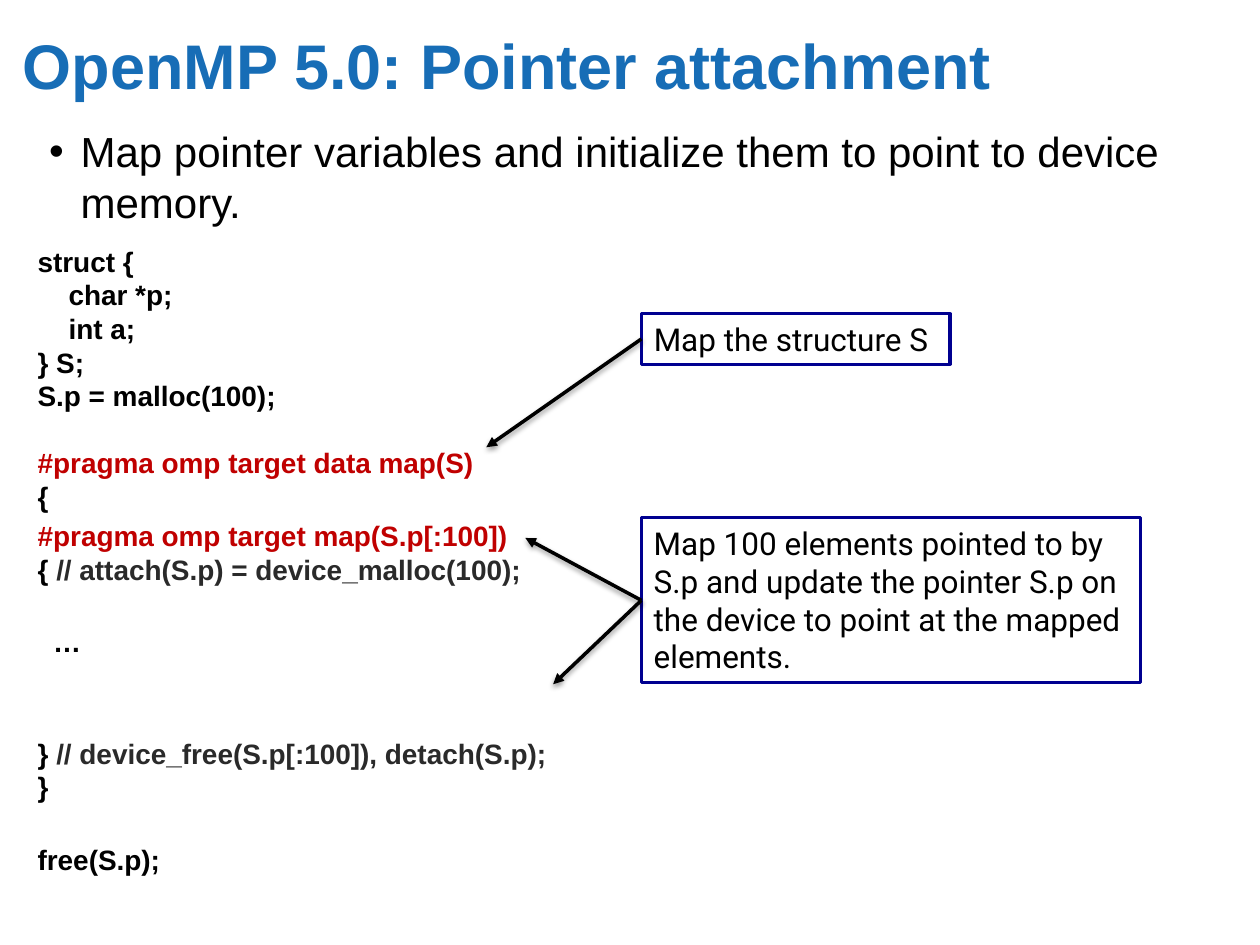
from pptx import Presentation
from pptx import util as u
from pptx.dml.color import RGBColor
from pptx.enum import shapes, text
from pptx.oxml import parse_xml
from pptx.oxml.ns import nsdecls, qn

BLACK = RGBColor(0x00, 0x00, 0x00)
BLUE = RGBColor(0x17, 0x6D, 0xB6)
NAVY = RGBColor(0x00, 0x00, 0x90)
RED = RGBColor(0xC0, 0x00, 0x00)
GREY = RGBColor(0x2A, 0x2A, 0x2A)

# Content
TITLE = "OpenMP 5.0: Pointer attachment"
BULLET = "Map pointer variables and initialize them to point to device memory."

# Code blocks: (blank lines above, extra paragraph gaps, coloured runs)
CODE = [
    (0, 0, [("struct {\n    char *p;\n    int a;\n} S;\nS.p = malloc(100);\n\n", BLACK),
            ("#pragma omp target data map(S)\n", RED), ("{", BLACK)]),
    (0, 1, [("#pragma omp target map(S.p[:100])\n", RED), ("{ ", BLACK),
            ("// attach(S.p) = device_malloc(100);", GREY)]),
    (1, 1, [("  …", BLACK)]),
    (1, 2, [("} ", BLACK), ("// device_free(S.p[:100]), detach(S.p);\n", GREY), ("}", BLACK)]),
    (1, 1, [("free(S.p);", BLACK)]),
]
CODE_LINE, CODE_GAP = 19.1, 3.2

# Callouts: text, (left, top, width, height), arrow targets
CALLOUTS = [
    ("Map the structure S", (366.5, 179.3, 176.4, 28.8), [(277.9, 255.6)]),
    ("Map 100 elements pointed to by S.p and update the pointer S.p on "
     "the device to point at the mapped elements.",
     (366.5, 295.9, 285.1, 94.3), [(300.2, 307.4), (316.1, 391)]),
]

TITLE_FONT = dict(name="Arial", size=u.Pt(36), bold=True)
BODY_FONT = dict(name="Arial", size=u.Pt(24))
CODE_FONT = dict(name="Arial", size=u.Pt(16), bold=True)
NOTE_FONT = dict(name="Roboto", size=u.Pt(18))


def add_text(p, content, font, color):
    """Add content as runs, with a line break at each newline."""
    for i, line in enumerate(content.split("\n")):
        if i:
            p.add_line_break()
        if line:
            r = p.add_run()
            r.text = line
            for key, value in font.items():
                setattr(r.font, key, value)
            r.font.color.rgb = color


def add_box(s, at, inset=True):
    tf = s.shapes.add_textbox(*map(u.Pt, at)).text_frame
    tf.word_wrap = True
    if not inset:
        for side in ("left", "top", "right", "bottom"):
            setattr(tf, f"margin_{side}", 0)
    return tf


def add_arrow(s, box, target):
    """Arrow from the left side of a callout to a code line."""
    c = s.shapes.add_connector(shapes.MSO_CONNECTOR.STRAIGHT, 0, 0, *map(u.Pt, target))
    c.begin_connect(box, 1)
    c.line.color.rgb = BLACK
    c.line.width = u.Pt(2)
    c.line._get_or_add_ln().append(parse_xml(f'<a:tailEnd {nsdecls("a")} type="triangle"/>'))
    c._element.spPr.append(parse_xml(
        f'<a:effectLst {nsdecls("a")}><a:outerShdw blurRad="{u.Pt(3)}" dist="{u.Pt(1.6)}" '
        'dir="5400000" rotWithShape="0"><a:srgbClr val="000000"><a:alpha val="38000"/>'
        '</a:srgbClr></a:outerShdw></a:effectLst>'))


prs = Presentation()
prs.slide_width, prs.slide_height = u.Pt(720), u.Pt(540)
s = prs.slides.add_slide(prs.slide_layouts[6])

# Title
tf = add_box(s, (13, 15.1, 648.7, 69.8), inset=False)
add_text(tf.paragraphs[0], TITLE, TITLE_FONT, BLUE)

# Bullet
p = add_box(s, (28.1, 72, 665.3, 69.8), inset=False).paragraphs[0]
pPr = p._p.get_or_add_pPr()
pPr.set("marL", str(u.Pt(18)))
pPr.set("indent", str(u.Pt(-18)))
pPr.append(parse_xml(f'<a:buFont {nsdecls("a")} typeface="Arial"/>'))
pPr.append(parse_xml(f'<a:buChar {nsdecls("a")} char="•"/>'))
add_text(p, BULLET, BODY_FONT, BLACK)

# Code listing
tf = add_box(s, (14.4, 136.1, 637.2, 367.2))
for i, (blanks, gaps, runs) in enumerate(CODE):
    p = tf.add_paragraph() if i else tf.paragraphs[0]
    p.space_before = u.Pt((blanks + max(gaps - 1, 0)) * CODE_LINE + gaps * CODE_GAP)
    for content, color in runs:
        add_text(p, content, CODE_FONT, color)
    # Line breaks take the size of the code
    for br in p._p.findall(qn("a:br")):
        br.append(parse_xml(f'<a:rPr {nsdecls("a")} sz="1600" b="1"/>'))

# Callouts with their arrows
for content, at, targets in CALLOUTS:
    sp = s.shapes.add_shape(shapes.MSO_SHAPE.RECTANGLE, *map(u.Pt, at))
    sp.shadow.inherit = False
    sp.fill.background()
    sp.line.color.rgb = NAVY
    sp.line.width = u.Pt(1.75)
    tf = sp.text_frame
    tf.word_wrap = True
    tf.vertical_anchor = text.MSO_ANCHOR.TOP
    p = tf.paragraphs[0]
    p.alignment = text.PP_ALIGN.LEFT
    add_text(p, content, NOTE_FONT, BLACK)
    for target in targets:
        add_arrow(s, sp, target)

prs.save("out.pptx")
